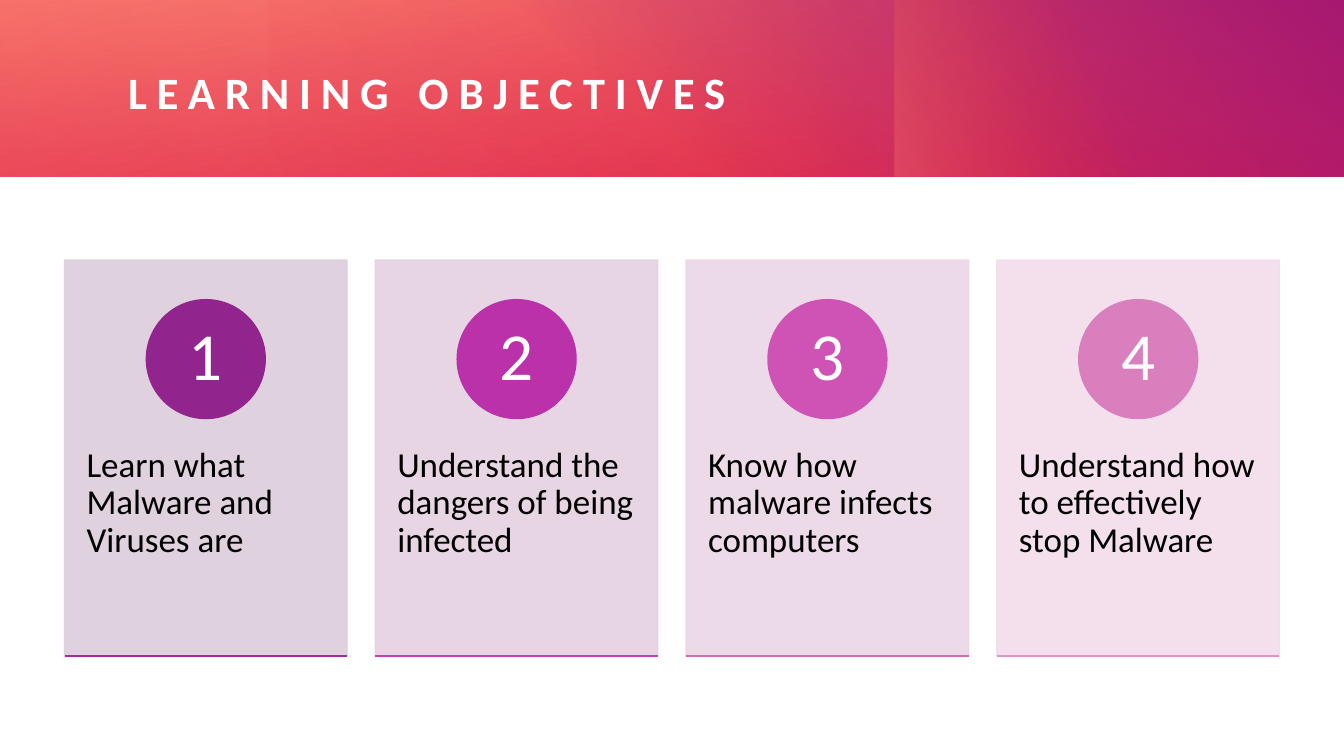
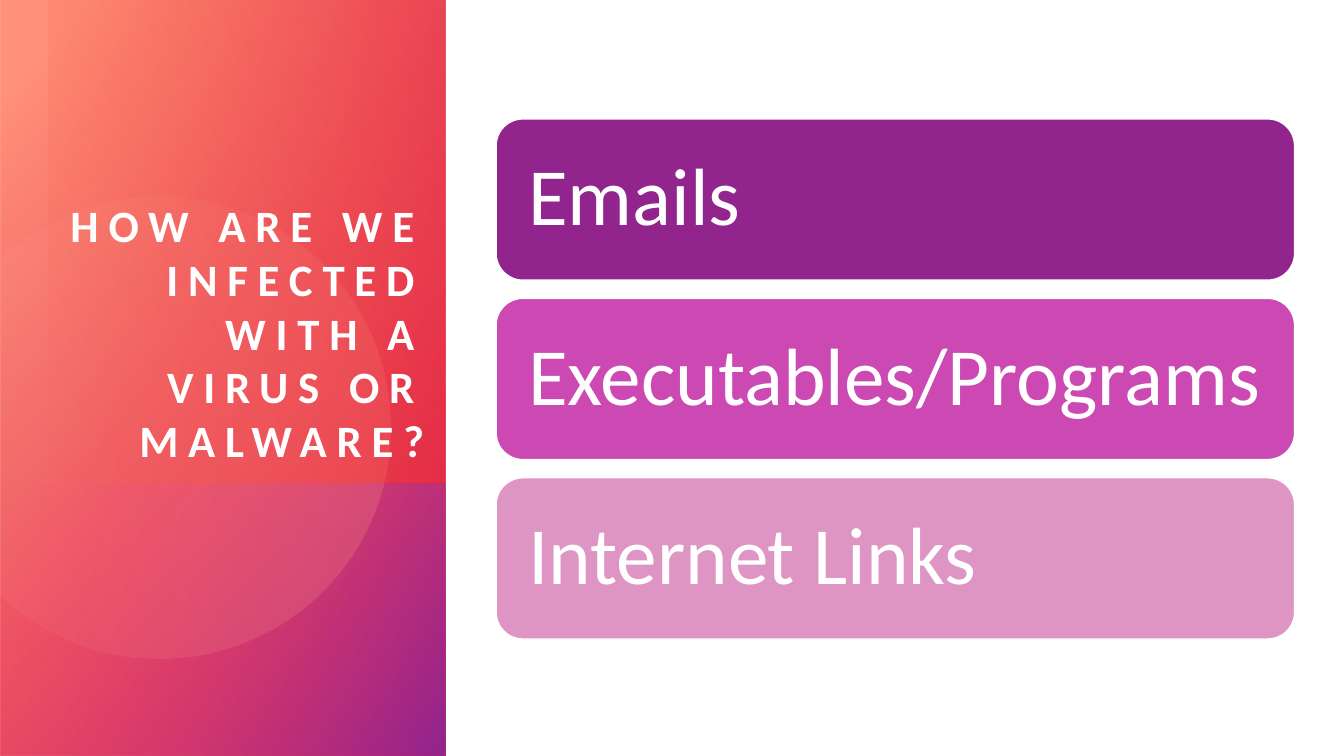
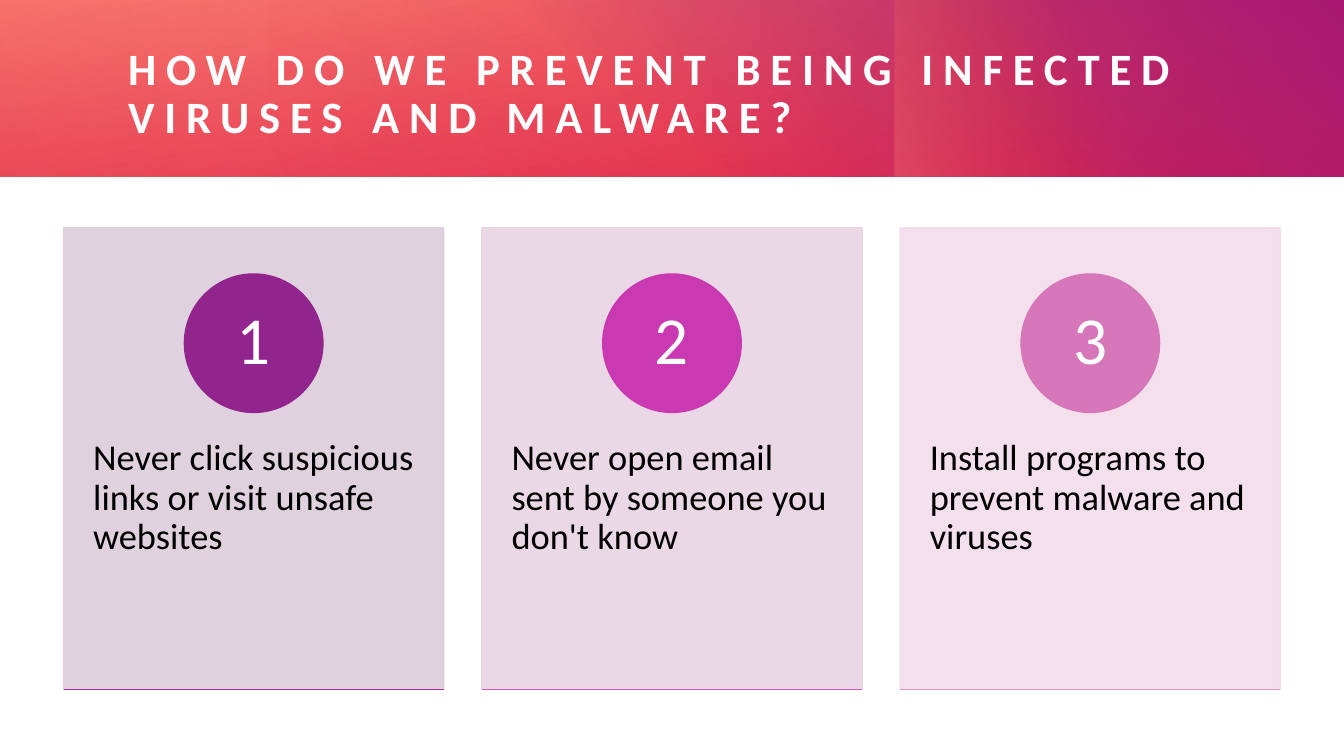
from dataclasses import dataclass
from math import acos, cos, sin

from lxml import etree
from pptx import Presentation
from pptx.dml.color import RGBColor
from pptx.enum.shapes import MSO_CONNECTOR, MSO_SHAPE
from pptx.enum.text import MSO_ANCHOR, MSO_AUTO_SIZE, PP_ALIGN
from pptx.oxml.ns import qn
from pptx.util import Inches, Pt

COLORS = {
    "white": "FFFFFF", "black": "000000",
    "red": "DA002F", "orange": "FE4A00", "peach": "FF907A",
    "pale peach": "FFBCAF", "pink": "FF5076", "purple": "92248E",
    "magenta": "CC48B2", "rose": "DE95C4",
}
FONT = "Calibri"
TITLE_SIZE, TITLE_SPACING = 32, 7
NUMBER_SIZE, BAR_SIZE = 48, 58
LINE_SPACING = 0.9
CARD_GAP = 0.1  # share of a card's width


@dataclass
class Box:
    left: float
    top: float
    width: float
    height: float

    def share(self, left, top, width, height):
        """Return the box at these shares of this one."""
        return Box(self.left + left * self.width, self.top + top * self.height,
                   width * self.width, height * self.height)

    def emu(self):
        return [Inches(value) for value in (self.left, self.top, self.width, self.height)]


PAGE = Box(0, 0, 13.33, 7.5)
BANNER = Box(0, 0, PAGE.width, 1.75)
PANEL = Box(0, 0, 4.42, PAGE.height)


def rgb(color):
    return RGBColor.from_string(COLORS.get(color, color))


def add_shape(slide, kind, box, fill, line=None, opacity=100):
    shape = slide.shapes.add_shape(kind, *box.emu())
    shape.shadow.inherit = False
    shape.fill.solid()
    shape.fill.fore_color.rgb = rgb(fill)
    if line:
        shape.line.color.rgb = rgb(line)
        shape.line.width = Pt(1)
    else:
        shape.line.fill.background()
    if opacity < 100:
        for color in shape.element.spPr.iter(qn("a:srgbClr")):
            etree.SubElement(color, qn("a:alpha"), val=str(opacity * 1000))
    return shape


def fill_gradient(shape, angle, stops):
    """Stops are (position, colour, opacity), all in percent; angle runs clockwise."""
    shape.shadow.inherit = False
    shape.line.fill.background()
    shape.fill.background()
    gradient = etree.Element(qn("a:gradFill"), rotWithShape="1")
    stop_list = etree.SubElement(gradient, qn("a:gsLst"))
    for position, color, opacity in stops:
        stop = etree.SubElement(stop_list, qn("a:gs"), pos=str(position * 1000))
        value = etree.SubElement(stop, qn("a:srgbClr"), val=COLORS[color])
        etree.SubElement(value, qn("a:alpha"), val=str(opacity * 1000))
    etree.SubElement(gradient, qn("a:lin"), ang=str(angle * 60000), scaled="0")
    properties = shape.element.spPr
    properties.replace(properties.find(qn("a:noFill")), gradient)


def add_gradient(slide, box, angle, stops, rotation=0, flipped=False):
    shape = slide.shapes.add_shape(MSO_SHAPE.RECTANGLE, *box.emu())
    fill_gradient(shape, angle, stops)
    shape.rotation = rotation
    if flipped:
        shape.element.spPr.find(qn("a:xfrm")).set("flipH", "1")


def write_text(shape, text, size, color, anchor, align=PP_ALIGN.LEFT,
               insets=(0, 0), line_spacing=LINE_SPACING):
    """Fill a shape with one run; insets are the side and the top and bottom ones."""
    frame = shape.text_frame
    frame.word_wrap = True
    frame.auto_size = MSO_AUTO_SIZE.NONE
    frame.vertical_anchor = anchor
    frame.margin_left = frame.margin_right = Inches(insets[0])
    frame.margin_top = frame.margin_bottom = Inches(insets[1])
    paragraph = frame.paragraphs[0]
    paragraph.alignment = align
    paragraph.line_spacing = line_spacing
    run = paragraph.add_run()
    run.text = text
    run.font.name = FONT
    run.font.size = Pt(size)
    run.font.color.rgb = rgb(color)
    return run


def place_title(slide, box, text, anchor, align=PP_ALIGN.LEFT, line_spacing=1.0):
    title = slide.shapes.title
    title.left, title.top, title.width, title.height = box.emu()
    run = write_text(title, text, TITLE_SIZE, "white", anchor, align,
                     line_spacing=line_spacing)
    run.font.bold = True
    run.font._element.set("spc", str(TITLE_SPACING * 100))
    slide.shapes.element.append(title.element)  # bring in front of the band


def add_banner(slide, box):
    add_gradient(slide, box, 260, [(0, "red", 83), (100, "peach", 100)])
    add_gradient(slide, box.share(0.36, 0, 0.64, 1), 310,
                 [(22, "purple", 0), (99, "purple", 100)])
    glow_width = 3.74
    glow = Box(box.left + 9.87, box.top + (box.height - glow_width) / 2,
               box.height, glow_width)
    add_gradient(slide, glow, 250, [(45, "orange", 0), (99, "peach", 33)], 270)
    add_gradient(slide, box.share(0.2, 0, 0.8, 1), 330,
                 [(0, "red", 30), (99, "red", 0)], 180)
    add_gradient(slide, box.share(0, 0, 0.65, 1), 340, [(0, "red", 21), (99, "red", 0)])


def add_cut_circle(slide, center_x, center_y, radius):
    """Draw the portion of a circle that lies right of the slide's left edge."""
    cut = acos(-center_x / radius)
    steps = 120
    angles = [-cut + 2 * cut * step / steps for step in range(steps + 1)]
    points = [(Inches(center_x + radius * cos(angle)), Inches(center_y + radius * sin(angle)))
              for angle in angles]
    builder = slide.shapes.build_freeform(*points[0])
    builder.add_line_segments(points[1:], close=True)
    fill_gradient(builder.convert_to_shape(), 14,
                  [(36, "pale peach", 6), (100, "peach", 26)])


def add_side_panel(slide, box):
    def turned(area):
        """Swap the sides of an area about its centre, for a quarter turn."""
        return Box(area.left + (area.width - area.height) / 2,
                   area.top + (area.height - area.width) / 2, area.height, area.width)

    add_gradient(slide, turned(box), 50,
                 [(8, "peach", 100), (100, "red", 89)], 270, True)
    add_gradient(slide, turned(box.share(0, 0.64, 1, 0.36)), 60,
                 [(0, "pink", 0), (99, "purple", 100)], 270, True)
    add_cut_circle(slide, 1.58, 4.24, 2.29)
    add_gradient(slide, turned(box.share(0.11, 0, 0.89, 0.64)), 110,
                 [(0, "red", 29), (100, "orange", 0)], 90, True)


def add_card(slide, box, number, text, size, tint, disc, rule):
    add_shape(slide, MSO_SHAPE.RECTANGLE, box, tint, tint, 90)
    body = slide.shapes.add_textbox(*box.share(0, 0.38, 1, 0.6).emu())
    write_text(body, text, size, "black", MSO_ANCHOR.TOP,
               insets=(0.078 * box.width, 0.36))
    diameter = 0.3 * box.height
    circle_box = Box(box.left + (box.width - diameter) / 2, box.top + 0.1 * box.height,
                     diameter, diameter)
    circle = add_shape(slide, MSO_SHAPE.OVAL, circle_box, disc, disc)
    write_text(circle, str(number), NUMBER_SIZE, "white", MSO_ANCHOR.MIDDLE,
               PP_ALIGN.CENTER, (0.09, 0.01))
    left, top, width, height = box.emu()
    line = slide.shapes.add_connector(MSO_CONNECTOR.STRAIGHT, left, top + height,
                                      left + width, top + height)
    line.line.color.rgb = rgb(rule)
    line.line.width = Pt(1)
    etree.SubElement(line.element.spPr, qn("a:effectLst"))


def add_cards(slide, box, size, cards):
    count = len(cards)
    width = box.width / (count + CARD_GAP * (count - 1))
    for index, card in enumerate(cards):
        card_box = Box(box.left + index * width * (1 + CARD_GAP), box.top,
                       width, box.height)
        add_card(slide, card_box, index + 1, card[0], size, *card[1:])


def add_bars(slide, box, bars):
    height, pitch = 1.6, 1.78
    for index, (text, fill) in enumerate(bars):
        bar_box = Box(box.left, box.top + index * pitch, box.width, height)
        bar = add_shape(slide, MSO_SHAPE.ROUNDED_RECTANGLE, bar_box, fill, "white")
        write_text(bar, text, BAR_SIZE, "white", MSO_ANCHOR.MIDDLE, insets=(0.24, 0.24))


def new_slide(presentation):
    return presentation.slides.add_slide(presentation.slide_layouts.get_by_name("Title Only"))


def build_card_slide(presentation, title, area, size, cards):
    slide = new_slide(presentation)
    add_banner(slide, BANNER)
    place_title(slide, Box(1.27, 0.41, 11.35, 1.06), title, MSO_ANCHOR.MIDDLE,
                line_spacing=LINE_SPACING)
    add_cards(slide, area, size, cards)


def build_bar_slide(presentation, title, bars):
    slide = new_slide(presentation)
    add_side_panel(slide, PANEL)
    place_title(slide, Box(0.5, 0.95, 3.71, 3.68), title, MSO_ANCHOR.BOTTOM, PP_ALIGN.RIGHT)
    add_bars(slide, Box(4.92, 1.18, 7.92, 5.16), bars)


def main():
    presentation = Presentation()
    presentation.slide_width = Inches(PAGE.width)
    presentation.slide_height = Inches(PAGE.height)

    build_card_slide(presentation, "LEARNING OBJECTIVES", Box(0.64, 2.58, 12.05, 3.93), 25, [
        ("Learn what Malware and Viruses are", "DCCDDB", "purple", "A62B9C"),
        ("Understand the dangers of being infected", "E5D1E1", "BB31A9", "CA3DB2"),
        ("Know how malware infects computers", "ECD6E6", "CF53B4", "D36AB7"),
        ("Understand how to effectively stop Malware", "F2DDEA", "D97FBD", "rose"),
    ])
    build_bar_slide(presentation, "HOW ARE WE INFECTED WITH A VIRUS OR MALWARE?", [
        ("Emails", "purple"),
        ("Executables/Programs", "magenta"),
        ("Internet Links", "rose"),
    ])
    build_card_slide(
        presentation, "HOW DO WE PREVENT BEING INFECTED VIRUSES AND MALWARE?",
        Box(0.63, 2.26, 12.07, 4.58), 26, [
            ("Never click suspicious links or visit unsafe websites",
             "DCCDDB", "purple", "AF2DA2"),
            ("Never open email sent by someone you don't know",
             "E9D4E4", "C939B1", "CF58B4"),
            ("Install programs to prevent malware and viruses",
             "F2DDEA", "D677BA", "rose"),
        ])
    presentation.save("out.pptx")


if __name__ == "__main__":
    main()
